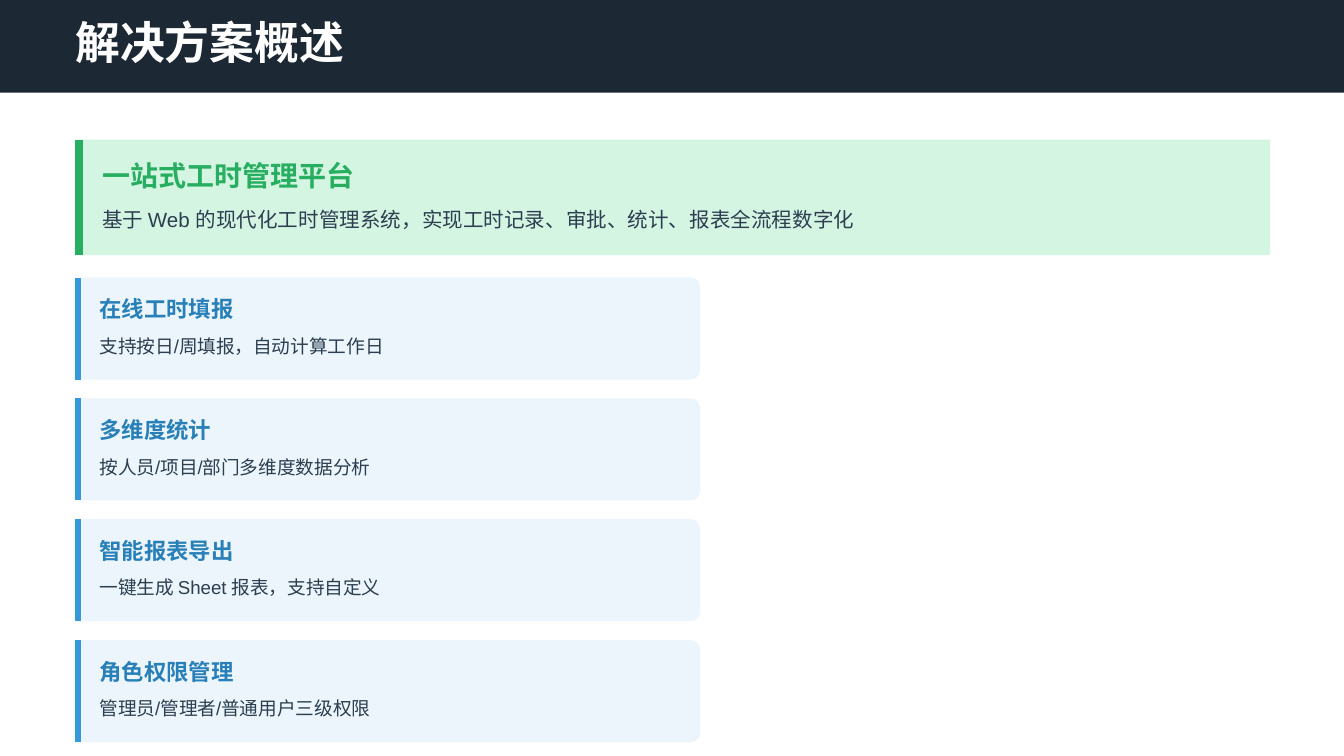
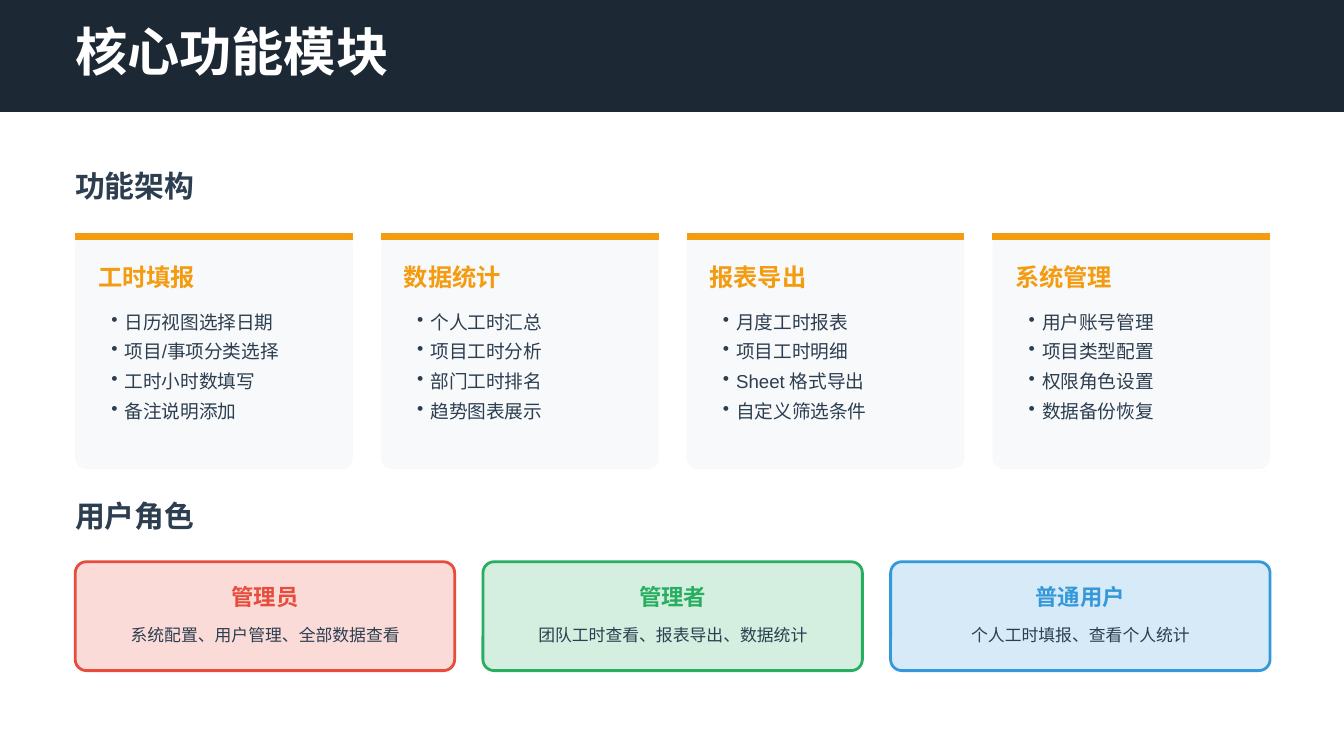
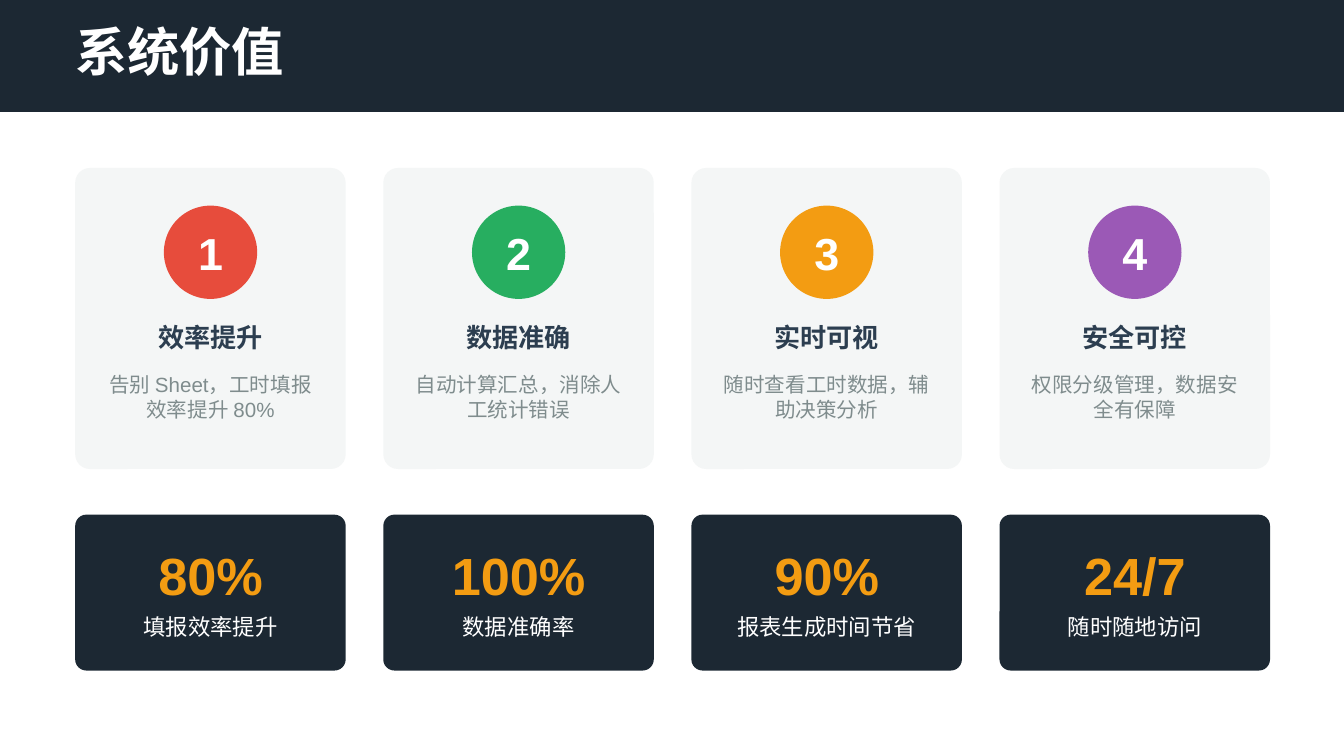
from dataclasses import dataclass
from lxml import etree
from pptx import Presentation
from pptx import util as u
from pptx.dml.color import RGBColor
from pptx.enum import shapes, text
from pptx.oxml import ns


@dataclass(frozen=True)
class Theme:
    face: str = "Arial"
    white: str = "FFFFFF"
    navy: str = "1C2833"
    ink: str = "2C3E50"
    grey: str = "7F8C8D"
    red: str = "E74C3C"
    green: str = "27AE60"
    blue: str = "3498DB"
    deep: str = "2980B9"
    amber: str = "F39C12"
    plum: str = "9B59B6"
    mint: str = "D5F5E3"
    ice: str = "EBF5FB"
    snow: str = "F8F9FA"
    mist: str = "F4F6F6"
    rose: str = "FADBD8"
    leaf: str = "D4EFDF"
    sky: str = "D6EAF8"
    huge: int = 28
    big: int = 24
    head: int = 16
    lead: int = 15
    name: int = 14
    card: int = 13
    label: int = 12
    body: int = 11
    note: int = 10
    small: int = 9


T = Theme()
WIDE, HIGH = u.Inches(10), u.Inches(5.625)
COLS = 100
EDGE, SPAN = 5.6, 88.9
ROUND = 0.83
MID = text.PP_ALIGN.CENTER


def grid(n):
    return round(WIDE * n / COLS)


def place(*box):
    return [grid(n) for n in box]


def split(count, gap):
    width = (SPAN - gap * (count - 1)) / count
    return width, [EDGE + i * (width + gap) for i in range(count)]


def paint(font, size, color, bold):
    font.name, font.size, font.bold = T.face, u.Pt(size), bold
    font.color.rgb = RGBColor.from_string(color)


def fill_text(shape, lines, size, color, bold=False, align=None, dots=False):
    frame = shape.text_frame
    frame.margin_left = frame.margin_right = 0
    frame.margin_top = frame.margin_bottom = 0
    frame.word_wrap = True
    frame.auto_size = text.MSO_AUTO_SIZE.NONE
    frame.vertical_anchor = text.MSO_ANCHOR.TOP
    frame.text = "\n".join(lines)
    for para in frame.paragraphs:
        para.alignment = align
        if dots:
            para.space_after = u.Pt(4)
            dot_mark(para)
        paint(para.font, size, color, bold)
    if dots:
        frame.margin_left = grid(1)


def dot_mark(para):
    props = para._p.get_or_add_pPr()
    props.set("marL", str(grid(1)))
    props.set("indent", str(-grid(1)))
    etree.SubElement(props, ns.qn("a:buChar")).set("char", "•")


def write(slide, box, words, size, color, **style):
    lines = [words] if isinstance(words, str) else words
    fill_text(slide.shapes.add_textbox(*place(*box)), lines, size, color, **style)


def panel(slide, box, fill, curve=0, edge=None):
    kind = shapes.MSO_SHAPE.ROUNDED_RECTANGLE if curve else shapes.MSO_SHAPE.RECTANGLE
    shape = slide.shapes.add_shape(kind, *place(*box))
    shape.shadow.inherit = False
    if curve:
        shape.adjustments[0] = min(0.5, curve / min(box[2:]))
    shape.fill.solid()
    shape.fill.fore_color.rgb = RGBColor.from_string(fill)
    if edge:
        shape.line.color.rgb = RGBColor.from_string(edge)
        shape.line.width = u.Pt(1.5)
    else:
        shape.line.fill.background()
    return shape


def rule(slide, ends, color, weight):
    line = slide.shapes.add_connector(shapes.MSO_CONNECTOR.STRAIGHT, *place(*ends))
    line.line.color.rgb = RGBColor.from_string(color)
    line.line.width = u.Pt(weight)
    etree.SubElement(line._element.spPr, ns.qn("a:effectLst"))


def start(deck, words, size=T.huge, band=8.33, top=1.4):
    slide = deck.slides.add_slide(deck.slide_layouts[5])
    title = slide.shapes.title
    width = len(words) * size / 72 * 10.2
    title.left, title.top, title.width, title.height = place(EDGE, top, width, band - 2 * top)
    fill_text(title, [words], size, T.white, bold=True, align=text.PP_ALIGN.LEFT)
    title.element.addprevious(panel(slide, (0, 0, COLS, band), T.navy).element)
    return slide


def banner(slide, head, body):
    panel(slide, (EDGE, 10.4, SPAN, 8.6), T.mint)
    rule(slide, (5.9, 10.4, 5.9, 19), T.green, 4.5)
    write(slide, (7.6, 11.8, 87.2, 2.9), head, T.lead, T.green, bold=True)
    write(slide, (7.6, 15.4, 87.2, 2.2), body, T.body, T.ink)


def feature(slide, top, head, body):
    panel(slide, (EDGE, top, 46.5, 7.6), T.ice, 0.7)
    rule(slide, (5.8, top, 5.8, top + 7.6), T.blue, 3)
    write(slide, (7.4, top + 1.35, 44.2, 2.3), head, T.label, T.deep, bold=True)
    write(slide, (7.4, top + 4.25, 44.2, 2), body, T.note, T.ink)


def module(slide, left, width, head, items):
    panel(slide, (left, 17.3, width, 17.6), T.snow, ROUND)
    rule(slide, (left, 17.6, left + width, 17.6), T.amber, 3.75)
    write(slide, (left + 1.7, 19.5, 17.7, 2.5), head, T.card, T.amber, bold=True)
    write(slide, (left + 1.7, 23.1, 17.3, 9.6), items, T.note, T.ink, dots=True)


def role(slide, left, width, head, body, fill, edge):
    panel(slide, (left, 41.8, width, 8.1), fill, ROUND, edge)
    inner = left + 1.35, width - 2.7
    write(slide, (inner[0], 43.4, inner[1], 2.3), head, T.label, edge, bold=True, align=MID)
    write(slide, (inner[0], 46.5, inner[1], 1.8), body, T.small, T.ink, align=MID)


def value(slide, left, width, mark, head, body, color):
    panel(slide, (left, 12.5, width, 22.4), T.mist, 1.1)
    mid = left + width / 2
    panel(slide, (mid - 3.47, 15.3, 6.94, 6.94), color, 3.47)
    write(slide, (mid - 0.95, 16.8, 1.9, 3.9), mark, T.big, T.white, bold=True, align=MID)
    write(slide, (left + 1.9, 23.9, width - 3.8, 2.7), head, T.name, T.ink, bold=True, align=MID)
    write(slide, (left + 1.9, 27.7, width - 3.8, 4.4), body, T.body, T.grey, align=MID)


def stat(slide, left, width, figure, label):
    panel(slide, (left, 38.3, width, 11.6), T.navy, ROUND)
    write(slide, (left + 1.9, 40.4, width - 3.8, 4.5), figure, T.huge, T.amber, bold=True, align=MID)
    write(slide, (left + 1.9, 45.6, width - 3.8, 2.3), label, T.label, T.white, align=MID)


def outline(deck):
    slide = start(deck, "解决方案概述", T.big, 6.9, 1.1)
    banner(slide, "一站式工时管理平台",
           "基于 Web 的现代化工时管理系统，实现工时记录、审批、统计、报表全流程数字化")
    items = [
        ("在线工时填报", "支持按日/周填报，自动计算工作日"),
        ("多维度统计", "按人员/项目/部门多维度数据分析"),
        ("智能报表导出", "一键生成 Sheet 报表，支持自定义"),
        ("角色权限管理", "管理员/管理者/普通用户三级权限"),
    ]
    for i, item in enumerate(items):
        feature(slide, 20.65 + i * 8.99, *item)


def modules(deck):
    slide = start(deck, "核心功能模块")
    for top, head in ((12.5, "功能架构"), (37, "用户角色")):
        write(slide, (EDGE, top, 90.7, 3.1), head, T.head, T.ink, bold=True)
    cards = [
        ("工时填报", ["日历视图选择日期", "项目/事项分类选择", "工时小时数填写", "备注说明添加"]),
        ("数据统计", ["个人工时汇总", "项目工时分析", "部门工时排名", "趋势图表展示"]),
        ("报表导出", ["月度工时报表", "项目工时明细", "Sheet 格式导出", "自定义筛选条件"]),
        ("系统管理", ["用户账号管理", "项目类型配置", "权限角色设置", "数据备份恢复"]),
    ]
    width, lefts = split(len(cards), 2.1)
    for left, card in zip(lefts, cards):
        module(slide, left, width, *card)
    roles = [
        ("管理员", "系统配置、用户管理、全部数据查看", T.rose, T.red),
        ("管理者", "团队工时查看、报表导出、数据统计", T.leaf, T.green),
        ("普通用户", "个人工时填报、查看个人统计", T.sky, T.blue),
    ]
    width, lefts = split(len(roles), 2.1)
    for left, item in zip(lefts, roles):
        role(slide, left, width, *item)


def values(deck):
    slide = start(deck, "系统价值")
    cards = [
        ("1", "效率提升", "告别 Sheet，工时填报效率提升 80%", T.red),
        ("2", "数据准确", "自动计算汇总，消除人工统计错误", T.green),
        ("3", "实时可视", "随时查看工时数据，辅助决策分析", T.amber),
        ("4", "安全可控", "权限分级管理，数据安全有保障", T.plum),
    ]
    stats = [
        ("80%", "填报效率提升"),
        ("100%", "数据准确率"),
        ("90%", "报表生成时间节省"),
        ("24/7", "随时随地访问"),
    ]
    width, lefts = split(len(cards), 2.8)
    for left, card, item in zip(lefts, cards, stats):
        value(slide, left, width, *card)
        stat(slide, left, width, *item)


def main():
    deck = Presentation()
    deck.slide_width, deck.slide_height = WIDE, HIGH
    outline(deck)
    modules(deck)
    values(deck)
    deck.save("out.pptx")


if __name__ == "__main__":
    main()
